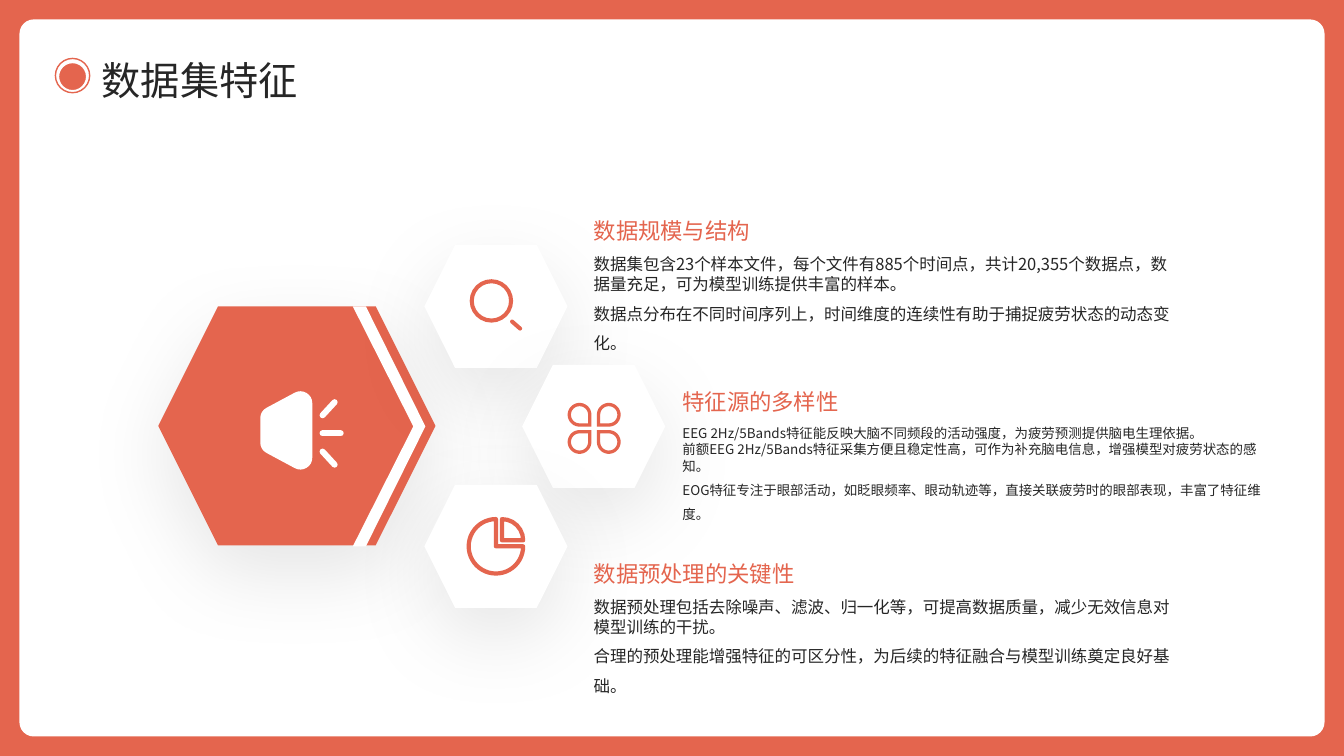
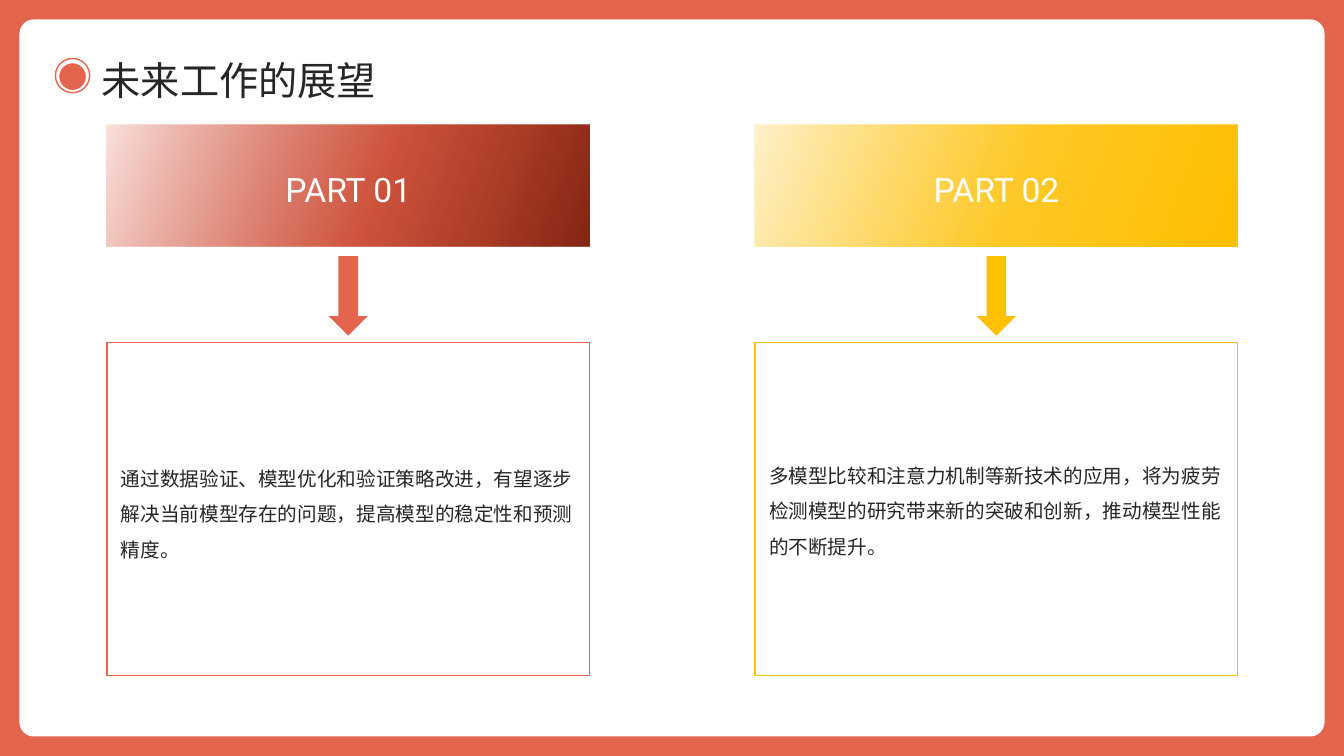
import math

from pptx import Presentation
from pptx import util as u
from pptx.dml.color import RGBColor
from pptx.enum import shapes, text
from pptx.oxml import parse_xml
from pptx.oxml.ns import nsdecls, qn
from lxml import etree

CORAL, GOLD, WHITE, INK = "E4654E", "FFC000", "FFFFFF", "262626"
HAN, LATIN = "Noto Sans CJK SC", "Roboto"
WIDTH, HEIGHT = 40 / 3, 7.5
KIND = shapes.MSO_SHAPE
MIDDLE = text.MSO_ANCHOR.MIDDLE
TOP = text.MSO_ANCHOR.TOP


def rgb(hex_code):
    return RGBColor.from_string(hex_code)


def inches(*lengths):
    return [u.Inches(length) for length in lengths]


# Outlines and fills
def paint(shape, fill=None, line=None, weight=1):
    shape.shadow.inherit = False
    if fill:
        shape.fill.solid()
        shape.fill.fore_color.rgb = rgb(fill)
    else:
        shape.fill.background()
    if line:
        shape.line.color.rgb = rgb(line)
        shape.line.width = u.Pt(weight)
    else:
        shape.line.fill.background()
    return shape


def add_block(parent, kind, box, fill=None, line=None, weight=1):
    return paint(parent.add_shape(kind, *inches(*box)), fill, line, weight)


def add_outline(parent, contours, fill, line=None, weight=1):
    contours = [[inches(*point) for point in contour] for contour in contours]
    builder = parent.build_freeform(*contours[0][0])
    for index, contour in enumerate(contours):
        if index:
            builder.move_to(*contour[0])
        builder.add_line_segments(contour[1:], close=True)
    return paint(builder.convert_to_shape(), fill, line, weight)


def add_stroke(parent, start, end, color, weight):
    stroke = parent.add_connector(shapes.MSO_CONNECTOR.STRAIGHT, *inches(*start, *end))
    stroke.line.color.rgb = rgb(color)
    stroke.line.width = u.Pt(weight)
    stroke.line._get_or_add_ln().set("cap", "rnd")
    etree.SubElement(stroke._element.spPr, qn("a:effectLst"))


def cast_shadow(shape):
    effects = shape._element.spPr.find(qn("a:effectLst"))
    effects.append(parse_xml(
        f'<a:outerShdw {nsdecls("a")} blurRad="{u.Pt(60)}" dist="{u.Pt(20)}" '
        'dir="5400000" algn="t" rotWithShape="0"><a:srgbClr val="000000">'
        '<a:alpha val="10000"/></a:srgbClr></a:outerShdw>'))


def shade(shape, start, middle, end):
    shape.fill.gradient()
    shape.fill.gradient_angle = 340
    stops = shape._element.spPr.find(qn("a:gradFill")).find(qn("a:gsLst"))
    for stop in list(stops):
        stops.remove(stop)
    for place, color, alpha in ((0, start, 100), (55, middle, 85), (100, end, 100)):
        stops.append(parse_xml(
            f'<a:gs {nsdecls("a")} pos="{place * 1000}"><a:srgbClr val="{color}">'
            f'<a:alpha val="{alpha * 1000}"/></a:srgbClr></a:gs>'))


# Text
def write(frame, paragraphs, size, color, spacings, font=HAN, anchor=MIDDLE,
          align=text.PP_ALIGN.LEFT):
    frame.word_wrap = True
    frame.auto_size = text.MSO_AUTO_SIZE.NONE
    frame.vertical_anchor = anchor
    frame.margin_left = frame.margin_top = frame.margin_right = frame.margin_bottom = 0
    for index, (words, spacing) in enumerate(zip(paragraphs, spacings)):
        paragraph = frame.add_paragraph() if index else frame.paragraphs[0]
        paragraph.alignment = align
        paragraph.line_spacing = spacing
        paragraph.space_before = u.Pt(0)
        run = paragraph.add_run()
        run.text = words
        run.font.size = u.Pt(size)
        run.font.color.rgb = rgb(color)
        run.font.name = font
        etree.SubElement(run._r.get_or_add_rPr(), qn("a:ea"), typeface=font)


def add_text(slide, box, paragraphs, size, color, spacings=(1.5,), **style):
    frame = slide.shapes.add_textbox(*inches(*box)).text_frame
    write(frame, paragraphs, size, color, spacings, **style)


# Frame, bullseye and title shared by the slides
def start_slide(deck, heading):
    slide = deck.slides.add_slide(deck.slide_layouts[5])
    add_block(slide.shapes, KIND.RECTANGLE, (0, 0, WIDTH, HEIGHT), CORAL)
    card = add_block(slide.shapes, KIND.ROUNDED_RECTANGLE,
                     (0.2, 0.2, WIDTH - 0.4, HEIGHT - 0.4), WHITE, WHITE)
    card.adjustments[0] = 0.019
    title = slide.shapes.title
    slide.shapes._spTree.append(title._element)
    title.left, title.top, title.width, title.height = inches(1.01, 0.51, 11.88, 0.51)
    write(title.text_frame, [heading], 28, INK, [1.1])
    bullseye = slide.shapes.add_group_shape().shapes
    add_block(bullseye, KIND.OVAL, (0.55, 0.58, 0.34, 0.34), WHITE, CORAL)
    add_block(bullseye, KIND.OVAL, (0.58, 0.62, 0.28, 0.28), CORAL, WHITE)
    return slide


# Icons
def draw_magnifier(parent):
    add_block(parent, KIND.OVAL, (4.68, 2.79, 0.39, 0.39), None, CORAL, 2.9)
    add_stroke(parent, (5.08, 3.19), (5.16, 3.26), CORAL, 2.9)


def petal_contour(side_x, side_y, radius):
    """Three quarters of a circle, with a corner towards the clover's centre."""
    center_x, center_y = 5.895 + side_x * 0.145, 4.25 + side_y * 0.135
    angles = [math.radians(degrees) for degrees in range(90, 361, 10)]
    offsets = [(math.cos(angle), math.sin(angle)) for angle in angles] + [(1, 1)]
    return [(center_x - side_x * radius * x, center_y - side_y * radius * y)
            for x, y in offsets]


def draw_clover(parent):
    add_outline(parent, [petal_contour(side_x, side_y, radius)
                         for side_x in (-1, 1) for side_y in (-1, 1)
                         for radius in (0.118, 0.085)], CORAL)


def draw_pie(parent):
    add_block(parent, KIND.PIE, (4.65, 5.15, 0.54, 0.54), None, CORAL, 3)
    slice_ = add_block(parent, KIND.PIE, (4.77, 5.15, 0.42, 0.42), None, CORAL, 3)
    slice_.adjustments[0], slice_.adjustments[1] = 162, 0


def draw_speaker(parent):
    horn = add_outline(parent, [[(2.7, 4.15), (2.98, 4), (2.98, 4.54), (2.7, 4.39)]],
                       WHITE, WHITE, 17)
    etree.SubElement(horn.line._get_or_add_ln(), qn("a:round"))
    middle = 4.3
    for near, far, reach in ((-0.18, -0.31, 3.32), (0, 0, 3.38), (0.18, 0.31, 3.32)):
        add_stroke(parent, (3.2, middle + near), (reach, middle + far), WHITE, 4.3)


# Slide 1: hexagons on the left, three topics on the right
TOPICS = [
    (5.89, 2.01, "数据规模与结构", 11.8, [
        "数据集包含23个样本文件，每个文件有885个时间点，共计20,355个数据点，数据量充足，可为模型训练提供丰富的样本。",
        "数据点分布在不同时间序列上，时间维度的连续性有助于捕捉疲劳状态的动态变化。"]),
    (6.77, 3.71, "特征源的多样性", 9.6, [
        "EEG 2Hz/5Bands特征能反映大脑不同频段的活动强度，为疲劳预测提供脑电生理依据。",
        "前额EEG 2Hz/5Bands特征采集方便且稳定性高，可作为补充脑电信息，增强模型对疲劳状态的感知。",
        "EOG特征专注于眼部活动，如眨眼频率、眼动轨迹等，直接关联疲劳时的眼部表现，丰富了特征维度。"]),
    (5.89, 5.41, "数据预处理的关键性", 11.8, [
        "数据预处理包括去除噪声、滤波、归一化等，可提高数据质量，减少无效信息对模型训练的干扰。",
        "合理的预处理能增强特征的可区分性，为后续的特征融合与模型训练奠定良好基础。"]),
]


def build_features(deck):
    slide = start_slide(deck, "数据集特征")
    parent = slide.shapes
    cast_shadow(add_block(parent, KIND.HEXAGON, (1.57, 3.04, 2.75, 2.37), CORAL))
    for row, left in enumerate((4.21, 5.18, 4.21)):
        cell = (left, 2.43 + row * 1.19, 1.42, 1.22)
        cast_shadow(add_block(parent, KIND.HEXAGON, cell, WHITE))
    add_outline(parent, [[(3.63, 3.04), (3.5, 3.04), (4.1, 4.23), (3.5, 5.42),
                          (3.63, 5.42), (4.22, 4.23)]], WHITE)
    for draw_icon in (draw_magnifier, draw_clover, draw_pie, draw_speaker):
        draw_icon(parent)
    for left, top, heading, size, points in TOPICS:
        add_text(slide, (left, top, 5.82, 0.42), [heading], 16, CORAL)
        spacings = [1] * (len(points) - 1) + [1.5]
        add_text(slide, (left, top + 0.51, 5.82, 0.99), points, size, INK,
                 spacings, anchor=TOP)


# Slide 2: two parts, each a banner, an arrow and a framed statement
PARTS = [
    ("PART 01", CORAL, ("FAE0DC", "C7381E", "852614"), 3.58,
     "通过数据验证、模型优化和验证策略改进，有望逐步解决当前模型存在的问题，提高模型的稳定性和预测精度。"),
    ("PART 02", GOLD, ("FFF2CC", GOLD, GOLD), 3.55,
     "多模型比较和注意力机制等新技术的应用，将为疲劳检测模型的研究带来新的突破和创新，推动模型性能的不断提升。"),
]


def build_outlook(deck):
    slide = start_slide(deck, "未来工作的展望")
    parent = slide.shapes
    column_width, pitch = 4.79, 6.43
    for column, (label, color, ramp, text_top, statement) in enumerate(PARTS):
        left = 1.06 + column * pitch
        banner = add_block(parent, KIND.RECTANGLE, (left, 1.24, column_width, 1.21), color)
        shade(banner, *ramp)
        add_block(parent, KIND.RECTANGLE, (left, 3.4, column_width, 3.3), None, color)
        add_block(parent, KIND.DOWN_ARROW,
                  (left + (column_width - 0.39) / 2, 2.54, 0.39, 0.79), color)
        add_text(slide, (left + 0.14, text_top, 4.5, 2.92), [statement], 14, INK)
        add_text(slide, (left + 0.49, 1.24, 3.81, 1.2), [label], 24, WHITE, [1.2],
                 font=LATIN, align=text.PP_ALIGN.CENTER)


def main():
    deck = Presentation()
    deck.slide_width, deck.slide_height = inches(WIDTH, HEIGHT)
    build_features(deck)
    build_outlook(deck)
    deck.save("out.pptx")


if __name__ == "__main__":
    main()
